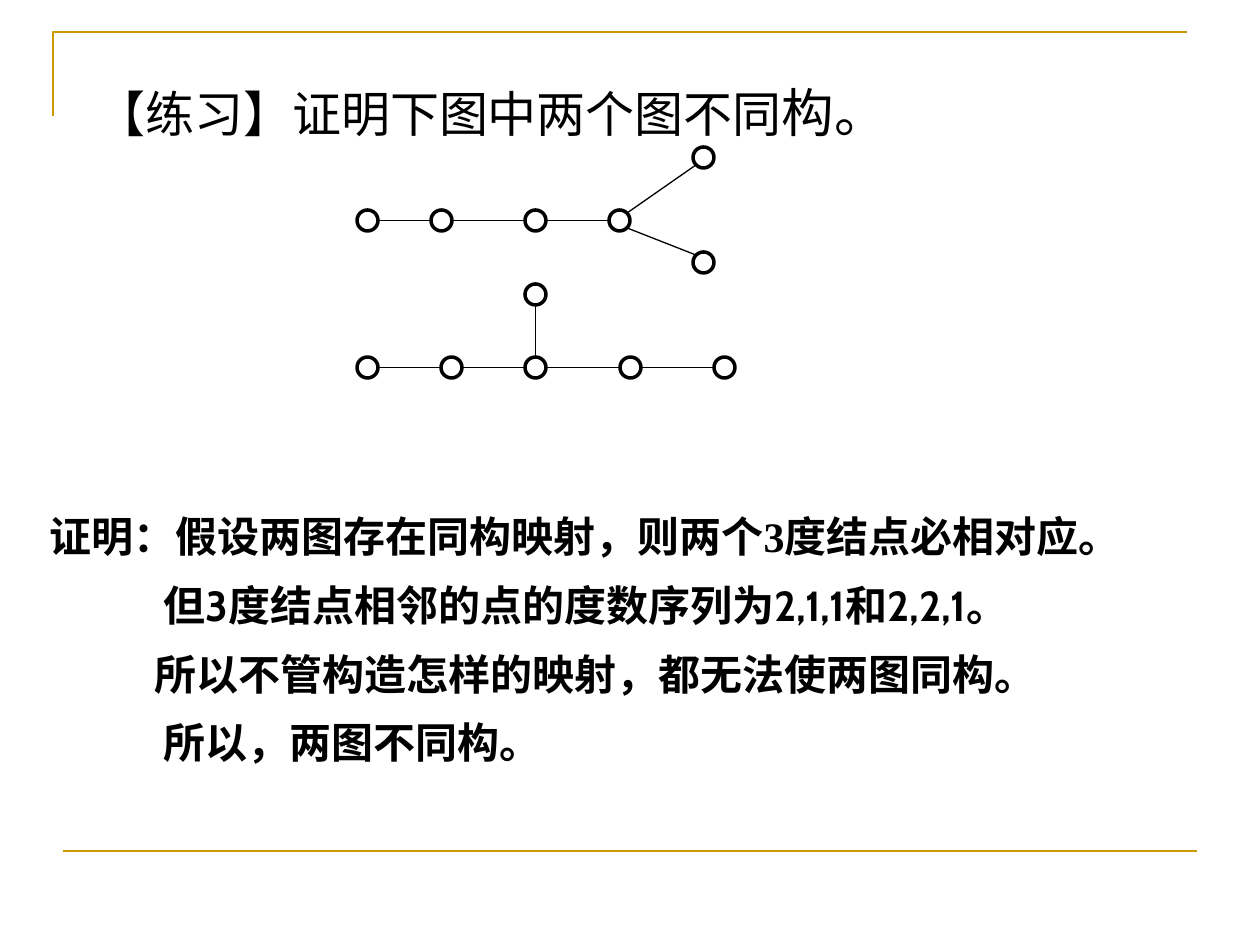
from lxml import etree
from pptx import Presentation
from pptx.dml.color import RGBColor
from pptx.enum.shapes import MSO_CONNECTOR, MSO_SHAPE
from pptx.enum.text import MSO_ANCHOR, MSO_AUTO_SIZE, PP_ALIGN
from pptx.oxml.ns import qn
from pptx.util import Emu, Pt

STRAIGHT = MSO_CONNECTOR.STRAIGHT
OVAL = MSO_SHAPE.OVAL
TOP = MSO_ANCHOR.TOP
LEFT = PP_ALIGN.LEFT
NO_FIT = MSO_AUTO_SIZE.NONE

BLACK = RGBColor(0x00, 0x00, 0x00)
GOLD = RGBColor(0xCC, 0x99, 0x00)

HEADING = [
    (0, [("【练习】证明下图中两个图不同", "Times New Roman", 28),
         ("构。", "Arial", 30)]),
]
PROOF = [
    (0, [("证明：假设两图存在同构映射，则两个3度结点必相对应。", "Times New Roman", 24)]),
    (114, [("但", "Times New Roman", 24),
           ("3度结点相邻的点的度数序列为2,1,1和2,2,1。", "Cabin", 24)]),
    (105, [("所以不管构造怎样的映射，都无法使两图同构。", "Arial", 24)]),
    (114, [("所以，两图不同构。", "Times New Roman", 24)]),
]
HEADING_BOX = (84, 74, 1134, 420)
PROOF_BOX = (37, 494, 1144, 285)

NODE_SIZE = 21
GRAPHS = [
    {"nodes": [(357, 210), (431, 210), (525, 210), (609, 210), (693, 252), (693, 147)],
     "edges": [(0, 1), (1, 2), (2, 3), (3, 5), (3, 4)]},
    {"nodes": [(525, 284), (357, 357), (441, 357), (525, 357), (620, 357), (714, 357)],
     "edges": [(1, 2), (2, 3), (3, 0), (3, 4), (4, 5)]},
]
CORNER = [(53, 116), (53, 32), (1187, 32)]
BOTTOM_RULE = [(63, 851), (1197, 851)]

SCALE = 914400 / 126


def px(value):
    return Emu(round(value * SCALE))


def set_attributes(target, values):
    for name, value in values.items():
        setattr(target, name, value)


def set_line(shape, color, width):
    shape.line.color.rgb = color
    shape.line.width = Pt(width)


def add_line(shapes, start, end, color, width):
    connector = shapes.add_connector(STRAIGHT, *map(px, (*start, *end)))
    set_line(connector, color, width)
    etree.SubElement(connector._element.spPr, qn("a:effectLst"))


def fill_placeholder(shape, box, content, bold, line_spacing):
    set_attributes(shape, dict(zip(("left", "top", "width", "height"), map(px, box))))
    frame = shape.text_frame
    set_attributes(frame, {"word_wrap": True, "auto_size": NO_FIT, "vertical_anchor": TOP})
    for index, (indent, runs) in enumerate(content):
        paragraph = frame.add_paragraph() if index else frame.paragraphs[0]
        set_attributes(paragraph, {"alignment": LEFT, "line_spacing": line_spacing,
                                   "space_before": Pt(runs[0][2] * 0.2)})
        properties = paragraph._p.get_or_add_pPr()
        properties.set("marL", str(px(indent)))
        properties.set("indent", "0")
        etree.SubElement(properties, qn("a:buNone"))
        for text, font_name, size in runs:
            run = paragraph.add_run()
            run.text = text
            set_attributes(run.font, {"name": font_name, "size": Pt(size), "bold": bold})
            run.font.color.rgb = BLACK


def edge_ends(first, second):
    radius = NODE_SIZE / 2
    signs = [(b > a) - (b < a) for a, b in zip(first, second)]
    reach = radius * (0.5 ** 0.5 if all(signs) else 1)
    start = [a + radius + sign * reach for a, sign in zip(first, signs)]
    end = [b + radius - sign * reach for b, sign in zip(second, signs)]
    return start, end


def add_graph(shapes, nodes, edges):
    for left, top in nodes:
        node = shapes.add_shape(OVAL, *map(px, (left, top, NODE_SIZE, NODE_SIZE)))
        node.shadow.inherit = False
        node.fill.background()
        set_line(node, BLACK, 2)
    for first, second in edges:
        start, end = edge_ends(nodes[first], nodes[second])
        add_line(shapes, start, end, BLACK, 0.75)


def main():
    presentation = Presentation()
    presentation.slide_width, presentation.slide_height = px(1260), px(945)
    slide = presentation.slides.add_slide(presentation.slide_layouts[1])

    builder = slide.shapes.build_freeform(*CORNER[0], scale=SCALE)
    builder.add_line_segments(CORNER[1:], close=False)
    corner = builder.convert_to_shape()
    corner.shadow.inherit = False
    corner.fill.background()
    set_line(corner, GOLD, 1.5)
    add_line(slide.shapes, *BOTTOM_RULE, GOLD, 1.5)

    fill_placeholder(slide.shapes.title, HEADING_BOX, HEADING, False, 1.0)
    fill_placeholder(slide.placeholders[1], PROOF_BOX, PROOF, True, 1.2)

    diagram = slide.shapes.add_group_shape()
    for graph in GRAPHS:
        add_graph(diagram.shapes, **graph)

    presentation.save("out.pptx")


if __name__ == "__main__":
    main()
